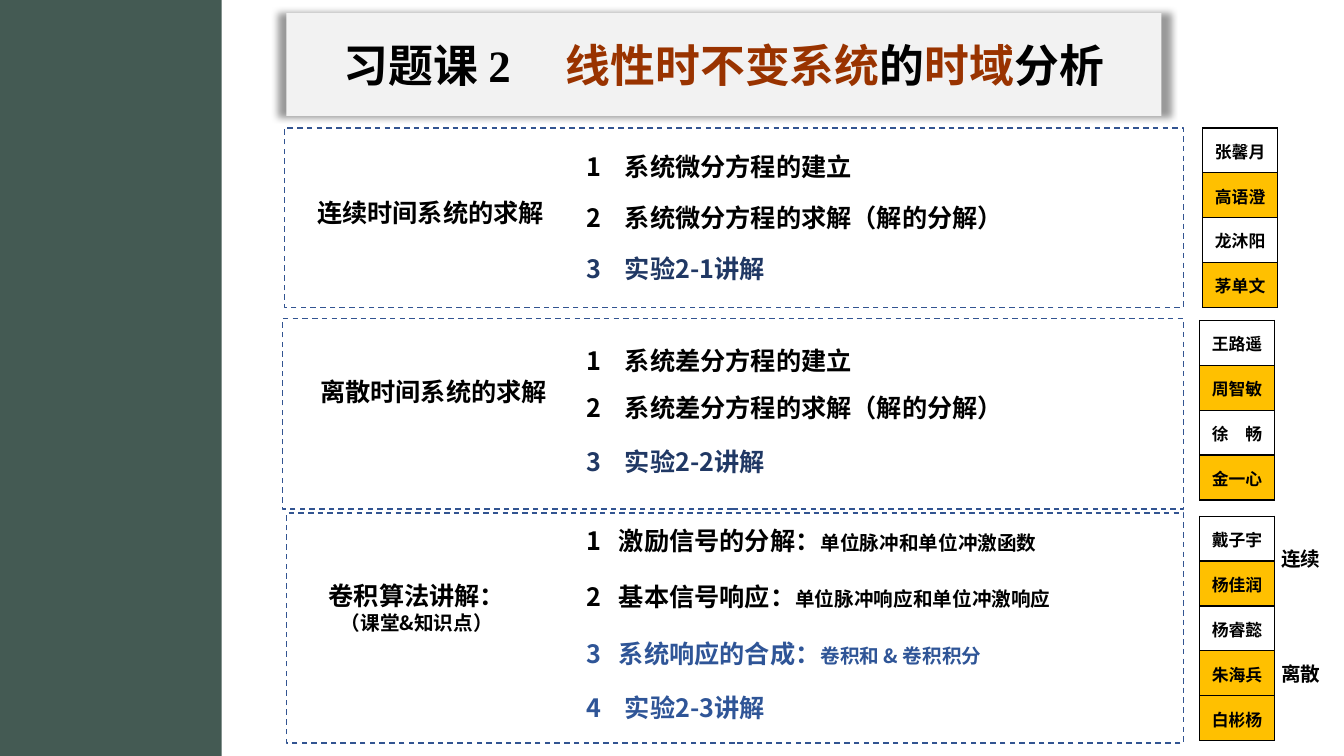
from lxml import etree
from pptx import Presentation
from pptx.dml.color import RGBColor
from pptx.enum import dml, shapes, text
from pptx.oxml import parse_xml
from pptx.oxml.ns import qn
from pptx.util import Inches, Pt

SANS, SERIF = "Noto Sans CJK SC", "Times New Roman"
BLACK, WHITE, RUST, GOLD = "000000", "FFFFFF", "993300", "FFC000"
NAVY, BLUE = "203864", "2F5597"
NS = 'xmlns:a="http://schemas.openxmlformats.org/drawingml/2006/main"'

TITLE = [("习题课 2　 ", BLACK), ("线性时不变系统", RUST), ("的", BLACK),
         ("时域", RUST), ("分析", BLACK)]

# left, top, width, height
FRAMES = [(2.82, 1.27, 8.92, 1.78), (2.8, 3.16, 8.94, 1.89),
          (2.84, 5.09, 8.9, 2.28)]

# box, lines of (text, size)
HEADS = [
    ((2.92, 1.45, 2.7, 0.86), [("连续时间系统的求解", 18)]),
    ((2.95, 3.22, 2.7, 0.86), [("离散时间系统的求解", 18)]),
    ((2.8, 5.58, 2.67, 0.76), [("卷积算法讲解：", 18), ("（课堂&知识点）", 14)]),
]

# top, tab stop, number, topic, detail, colour
TOPICS = [
    (1.45, 0.38, "1", "系统微分方程的建立", "", BLACK),
    (1.96, 0.38, "2", "系统微分方程的求解（解的分解）", "", BLACK),
    (2.46, 0.38, "3", "实验2-1讲解", "", NAVY),
    (3.38, 0.38, "1", "系统差分方程的建立", "", BLACK),
    (3.84, 0.38, "2", "系统差分方程的求解（解的分解）", "", BLACK),
    (4.38, 0.38, "3", "实验2-2讲解", "", NAVY),
    (5.16, 0.32, "1", "激励信号的分解：", "单位脉冲和单位冲激函数", BLACK),
    (5.72, 0.32, "2", "基本信号响应：", "单位脉冲响应和单位冲激响应", BLACK),
    (6.28, 0.32, "3", "系统响应的合成：", "卷积和 & 卷积积分", BLUE),
    (6.82, 0.38, "4", "实验2-3讲解", "", BLUE),
]

# box, (name, fill) by row
ROSTERS = [
    ((11.93, 1.27, 0.74, 1.78), [("张馨月", WHITE), ("高语澄", GOLD),
                                 ("龙沐阳", WHITE), ("茅单文", GOLD)]),
    ((11.9, 3.18, 0.74, 1.78), [("王路遥", WHITE), ("周智敏", GOLD),
                                ("徐　畅", WHITE), ("金一心", GOLD)]),
    ((11.9, 5.12, 0.74, 2.23), [("戴子宇", WHITE), ("杨佳润", GOLD),
                                ("杨睿懿", WHITE), ("朱海兵", GOLD),
                                ("白彬杨", GOLD)]),
]
TAGS = [(5.38, "连续"), (6.52, "离散")]

deck = Presentation()
deck.slide_width, deck.slide_height = Inches(13.33), Inches(7.5)
slide = deck.slides.add_slide(deck.slide_layouts[6])


def rgb(code):
    return RGBColor.from_string(code)


def place(box):
    return [Inches(v) for v in box]


def add_run(para, words, size, color=BLACK, face=SANS):
    run = para.add_run()
    run.text = words
    font = run.font
    font.name, font.size, font.bold = face, Pt(size), True
    font.color.rgb = rgb(color)
    asian = etree.SubElement(run._r.get_or_add_rPr(), qn("a:ea"))
    asian.set("typeface", SANS)


def add_rect(box, fill=None):
    rect = slide.shapes.add_shape(shapes.MSO_SHAPE.RECTANGLE, *place(box))
    rect.shadow.inherit = False
    rect.line.fill.background()
    if fill:
        rect.fill.solid()
        rect.fill.fore_color.rgb = rgb(fill)
    else:
        rect.fill.background()
    return rect


def add_box(box):
    frame = slide.shapes.add_textbox(*place(box)).text_frame
    frame.word_wrap = True
    return frame


def add_tab(para, stop):
    para._p.get_or_add_pPr().append(parse_xml(
        f'<a:tabLst {NS}><a:tab pos="{Inches(stop)}" algn="l"/></a:tabLst>'))


def add_title(box):
    rect = add_rect(box, "F2F2F2")
    effects = rect._element.spPr.find(qn("a:effectLst"))
    effects.append(parse_xml(
        f'<a:outerShdw {NS} blurRad="{Pt(5)}" sx="102000" sy="102000" '
        'algn="ctr" rotWithShape="0"><a:srgbClr val="000000">'
        '<a:alpha val="40000"/></a:srgbClr></a:outerShdw>'))
    frame = rect.text_frame
    frame.margin_top = frame.margin_bottom = Inches(0.24)
    para = frame.paragraphs[0]
    para.alignment = text.PP_ALIGN.CENTER
    for words, color in TITLE:
        add_run(para, words, 32, color, SERIF)


def add_roster(box, rows):
    table = slide.shapes.add_table(len(rows), 1, *place(box)).table
    table.first_row = table.horz_banding = False
    for i, (name, fill) in enumerate(rows):
        table.rows[i].height = Inches(box[3] / len(rows))
        cell = table.cell(i, 0)
        cell.margin_left = cell.margin_right = cell.margin_top = Inches(0.01)
        cell.margin_bottom = 0
        cell.vertical_anchor = text.MSO_ANCHOR.MIDDLE
        para = cell.text_frame.paragraphs[0]
        para.alignment = text.PP_ALIGN.CENTER
        add_run(para, name, 12)
        props = cell._tc.get_or_add_tcPr()
        for side in ("lnL", "lnR", "lnT", "lnB"):
            props.append(parse_xml(
                f'<a:{side} {NS} w="{Pt(1)}"><a:solidFill>'
                f'<a:srgbClr val="{BLACK}"/></a:solidFill></a:{side}>'))
        cell.fill.solid()
        cell.fill.fore_color.rgb = rgb(fill)


add_rect((0, 0, 2.2, 7.5), "445A53")
add_title((2.84, 0.13, 8.68, 1.02))

for box in FRAMES:
    line = add_rect(box).line
    line.color.rgb = rgb("325491")
    line.width = Pt(1)
    line.dash_style = dml.MSO_LINE.DASH

for box, lines in HEADS:
    frame = add_box(box)
    frame.vertical_anchor = text.MSO_ANCHOR.BOTTOM
    for i, (words, size) in enumerate(lines):
        para = frame.add_paragraph() if i else frame.paragraphs[0]
        para.alignment = text.PP_ALIGN.CENTER
        add_run(para, words, size)

for top, stop, number, topic, detail, color in TOPICS:
    para = add_box((5.72, top, 5.66, 0.4)).paragraphs[0]
    add_tab(para, stop)
    add_run(para, f"{number}\t{topic}", 18, color)
    if detail:
        add_run(para, detail, 14, color)

for box, rows in ROSTERS:
    add_roster(box, rows)

for top, words in TAGS:
    add_run(add_box((12.61, top, 0.72, 0.34)).paragraphs[0], words, 14)

deck.save("out.pptx")
